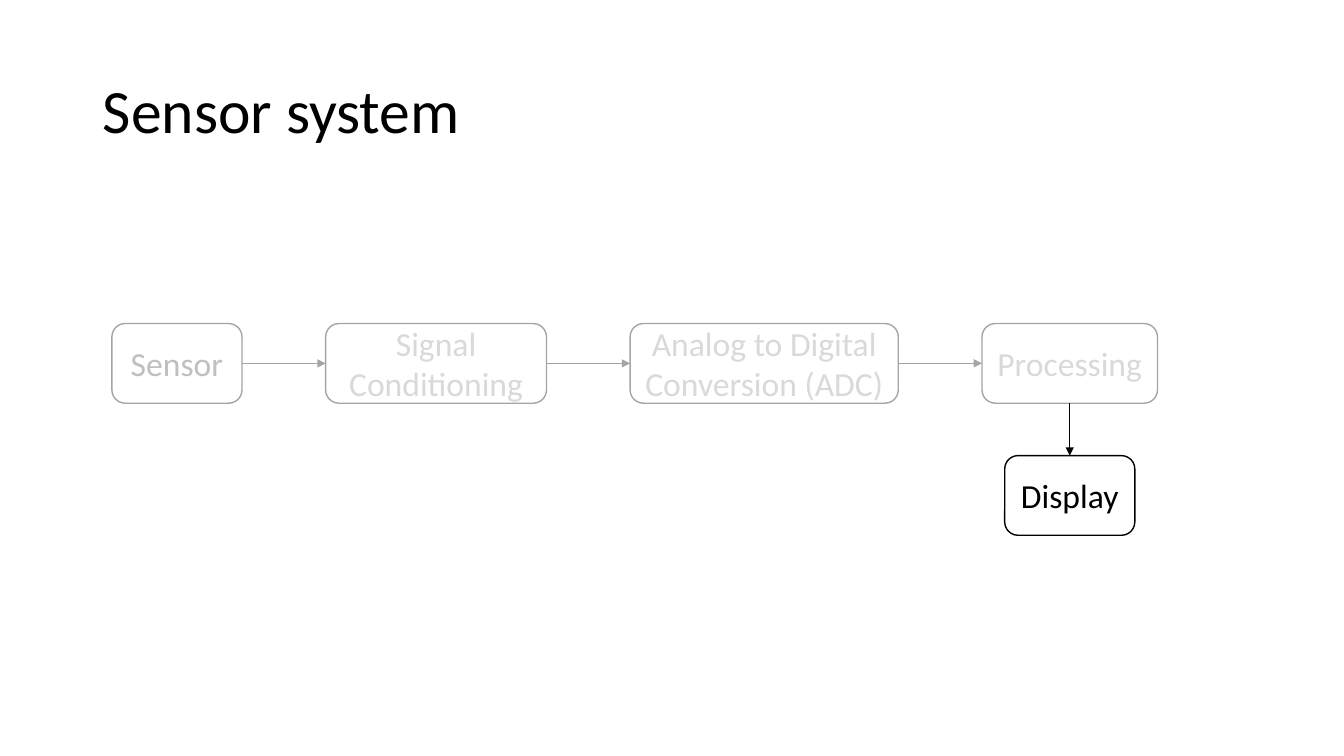
from lxml import etree
from pptx import Presentation
from pptx.dml.color import RGBColor
from pptx.enum.shapes import MSO_CONNECTOR, MSO_SHAPE
from pptx.enum.text import MSO_ANCHOR, PP_ALIGN
from pptx.oxml.ns import qn
from pptx.util import Inches, Pt

ROUNDED = MSO_SHAPE.ROUNDED_RECTANGLE
STRAIGHT = MSO_CONNECTOR.STRAIGHT
MIDDLE = MSO_ANCHOR.MIDDLE
LEFT, CENTER = PP_ALIGN.LEFT, PP_ALIGN.CENTER
TOP_SIDE, LEFT_SIDE, BOTTOM_SIDE, RIGHT_SIDE = range(4)
TITLE_ONLY = 5

FONT = "Calibri"
COLORS = {
    "box": "FFFFFF",
    "active": "000000",
    "muted_line": "A5A5A5",
    "sensor_text": "BFBFBF",
    "muted_text": "D9D9D9",
}
STAGES = [
    ("Sensor", 1.29, "sensor_text"),
    ("Signal Conditioning", 2.19, "muted_text"),
    ("Analog to Digital Conversion (ADC)", 2.66, "muted_text"),
    ("Processing", 1.74, "muted_text"),
]
STAGE_HEIGHT = 0.79
STAGE_GAP = 0.83
DISPLAY_WIDTH = 1.29
DISPLAY_GAP = 0.52


def rgb(name):
    return RGBColor.from_string(COLORS[name])


def format_paragraph(paragraph, size, color, alignment):
    paragraph.alignment = alignment
    paragraph.font.name = FONT
    paragraph.font.size = Pt(size)
    paragraph.font.color.rgb = rgb(color)


def add_title(slide, left, top, width, height):
    title = slide.shapes.title
    title.left, title.top = Inches(left), Inches(top)
    title.width, title.height = Inches(width), Inches(height)
    title.text_frame.text = "Sensor system"
    title.text_frame.vertical_anchor = MIDDLE
    heading = title.text_frame.paragraphs[0]
    format_paragraph(heading, 44, "active", LEFT)
    heading.line_spacing = 0.9


def add_stage(slide, label, left, top, width, line_color, text_color):
    stage = slide.shapes.add_shape(
        ROUNDED, Inches(left), Inches(top), Inches(width), Inches(STAGE_HEIGHT))
    stage.shadow.inherit = False
    stage.fill.solid()
    stage.fill.fore_color.rgb = rgb("box")
    stage.line.color.rgb = rgb(line_color)
    stage.line.width = Pt(1)
    frame = stage.text_frame
    frame.word_wrap = True
    frame.vertical_anchor = MIDDLE
    frame.text = label
    format_paragraph(frame.paragraphs[0], 24, text_color, CENTER)
    return stage


def add_arrow(slide, source, source_side, target, target_side, color):
    arrow = slide.shapes.add_connector(STRAIGHT, 0, 0, 0, 0)
    arrow.begin_connect(source, source_side)
    arrow.end_connect(target, target_side)
    arrow.line.color.rgb = rgb(color)
    arrow.line.width = Pt(1)
    tail = etree.SubElement(arrow.line._get_or_add_ln(), qn("a:tailEnd"))
    tail.set("type", "triangle")
    etree.SubElement(arrow._element.spPr, qn("a:effectLst"))


def add_sensor_chain(slide, left, top):
    previous = None
    for label, width, text_color in STAGES:
        stage = add_stage(slide, label, left, top, width, "muted_line", text_color)
        if previous is not None:
            add_arrow(slide, previous, RIGHT_SIDE, stage, LEFT_SIDE, "muted_line")
        previous = stage
        center = left + width / 2
        left += width + STAGE_GAP

    display = add_stage(
        slide, "Display", center - DISPLAY_WIDTH / 2,
        top + STAGE_HEIGHT + DISPLAY_GAP, DISPLAY_WIDTH, "active", "active")
    add_arrow(slide, previous, BOTTOM_SIDE, display, TOP_SIDE, "active")


def main():
    presentation = Presentation()
    presentation.slide_width = Inches(13.33)
    presentation.slide_height = Inches(7.5)
    slide = presentation.slides.add_slide(presentation.slide_layouts[TITLE_ONLY])
    add_title(slide, 0.92, 0.4, 11.5, 1.45)
    add_sensor_chain(slide, 1.11, 3.21)
    presentation.save("out.pptx")


if __name__ == "__main__":
    main()
